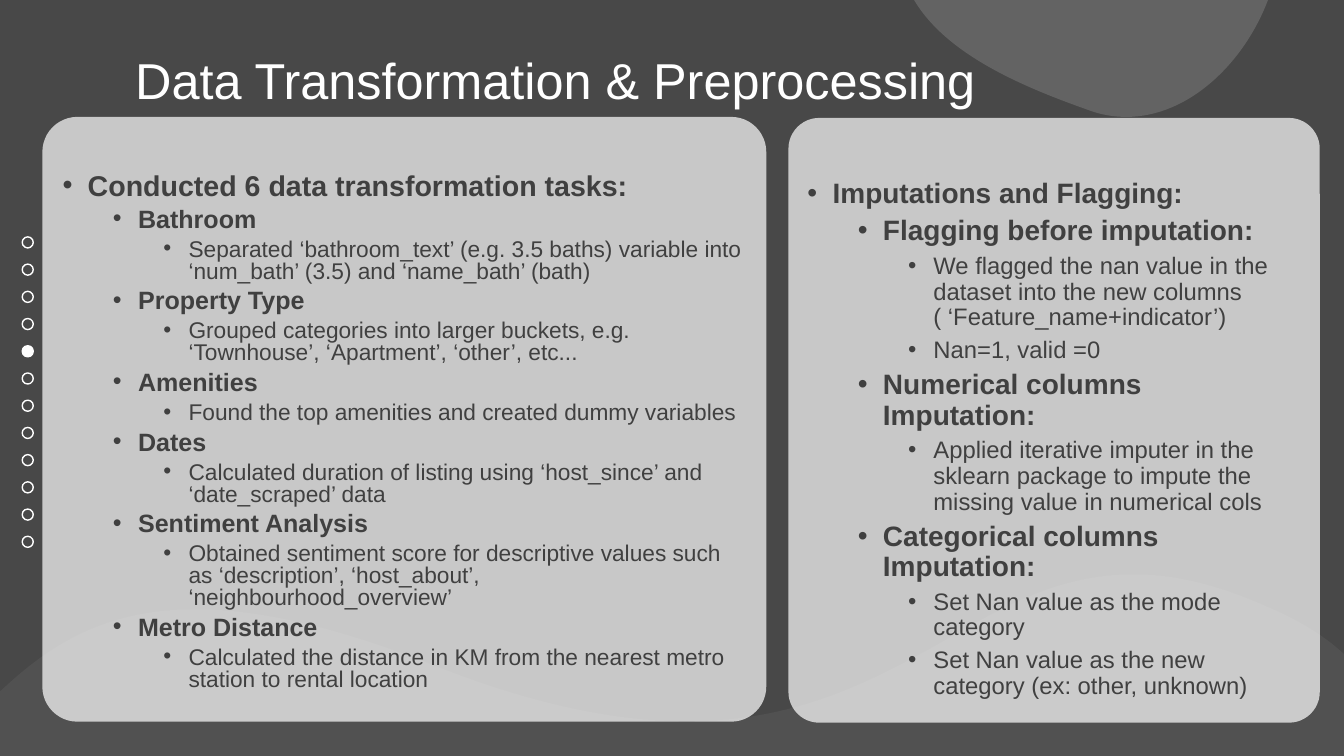
from math import cos, radians, sin

from lxml.etree import SubElement
from pptx import Presentation
from pptx.dml.color import RGBColor
from pptx.enum.shapes import MSO_SHAPE
from pptx.enum.text import MSO_ANCHOR, PP_ALIGN
from pptx.oxml.ns import qn
from pptx.util import Inches, Pt

WIDTH, HEIGHT = 13.33, 7.5
INDENT = 0.25
LEVEL_STEP = 0.5


def paint(fill, color, opacity=100):
    fill.solid()
    fill.fore_color.rgb = RGBColor.from_string(color)
    if opacity < 100:
        for color_node in fill._xPr.iter(qn("a:srgbClr")):
            SubElement(color_node, qn("a:alpha"), val=str(opacity * 1000))


def unrotate(point, center, rotation):
    angle = radians(-rotation)
    x, y = point[0] - center[0], point[1] - center[1]
    return (center[0] + x * cos(angle) - y * sin(angle),
            center[1] + x * sin(angle) + y * cos(angle))


presentation = Presentation()
presentation.slide_width = Inches(WIDTH)
presentation.slide_height = Inches(HEIGHT)
slide = presentation.slides.add_slide(presentation.slide_layouts[5])
paint(slide.background.fill, "484848")

wave = [
    [(11.33, 5.7)],
    [(11.69, 5.71), (12.1, 5.81), (12.57, 6.02)],
    [(12.88, 6.15), (13.12, 6.3), (13.31, 6.47)],
    [(WIDTH, 6.49)],
    [(WIDTH, HEIGHT)],
    [(0, HEIGHT)],
    [(0, 6.86)],
    [(0.1, 6.77)],
    [(0.93, 6.02), (1.97, 5.68), (4.3, 6.6)],
    [(6.95, 7.65), (8.2, 7), (9.29, 6.4)],
    [(9.93, 6.03), (10.53, 5.67), (11.33, 5.7)],
]
blob = [
    [(12.58, -0.01)],
    [(9.06, -0.01)],
    [(9.38, 0.54), (10.14, 0.86), (10.79, 1.09)],
    [(10.92, 1.14), (11.05, 1.16), (11.17, 1.16)],
    [(11.8, 1.16), (12.35, 0.61), (12.58, -0.01)],
]
backdrops = [
    (wave, 0.02, 5.1, 13.28, 3.67, 348.9, 5),
    (blob, 9.06, -0.01, 3.52, 1.17, 0, 15),
]
for segments, left, top, width, height, rotation, opacity in backdrops:
    right, bottom = left + width, top + height
    center = (left + width / 2, top + height / 2)
    builder = slide.shapes.build_freeform(Inches(left), Inches(top), scale=1.0)
    builder.add_line_segments([
        (Inches(x), Inches(y)) for x, y in ((right, top), (right, bottom), (left, bottom))])
    shape = builder.convert_to_shape()
    outline = next(shape._element.iter(qn("a:path")))
    for command in list(outline):
        outline.remove(command)
    for index, segment in enumerate(segments):
        tag = "a:moveTo" if index == 0 else "a:lnTo" if len(segment) == 1 else "a:cubicBezTo"
        command = SubElement(outline, qn(tag))
        for point in segment:
            x, y = unrotate(point, center, rotation)
            SubElement(command, qn("a:pt"), x=str(Inches(x - left)), y=str(Inches(y - top)))
    SubElement(outline, qn("a:close"))
    shape.rotation = rotation
    shape.shadow.inherit = False
    shape.line.fill.background()
    paint(shape.fill, "FFFFFF", opacity)

title = slide.shapes.title
title.left, title.top = 0, Inches(0.5)
title.width, title.height = Inches(WIDTH), Inches(0.66)
title.text_frame.text = "Data Transformation & Preprocessing"
title.text_frame.vertical_anchor = MSO_ANCHOR.MIDDLE
title.text_frame.margin_left = Inches(1.34)
paragraph = title.text_frame.paragraphs[0]
paragraph.alignment = PP_ALIGN.LEFT
paragraph.line_spacing = 0.9
paragraph.font.name = "Arial"
paragraph.font.size = Pt(36)
paint(paragraph.font.fill, "FFFFFF")

transformation_tasks = [
    (0, "Conducted 6 data transformation tasks:"),
    (1, "Bathroom"),
    (2, "Separated ‘bathroom_text’ (e.g. 3.5 baths) variable into ‘num_bath’ (3.5) and ‘name_bath’ (bath)"),
    (1, "Property Type"),
    (2, "Grouped categories into larger buckets, e.g. ‘Townhouse’, ‘Apartment’, ‘other’, etc..."),
    (1, "Amenities"),
    (2, "Found the top amenities and created dummy variables"),
    (1, "Dates"),
    (2, "Calculated duration of listing using ‘host_since’ and ‘date_scraped’ data"),
    (1, "Sentiment Analysis"),
    (2, "Obtained sentiment score for descriptive values such as ‘description’, ‘host_about’, "
        "‘neighbourhood_overview’"),
    (1, "Metro Distance"),
    (2, "Calculated the distance in KM from the nearest metro station to rental location"),
]
imputation_steps = [
    (0, "Imputations and Flagging:"),
    (1, "Flagging before imputation:"),
    (2, "We flagged the nan value in the dataset into the new columns ( ‘Feature_name+indicator’)"),
    (2, "Nan=1, valid =0"),
    (1, "Numerical columns Imputation:"),
    (2, "Applied iterative imputer in the sklearn package to impute the missing value in numerical cols"),
    (1, "Categorical columns Imputation:"),
    (2, "Set Nan value as the mode category"),
    (2, "Set Nan value as the new category (ex: other, unknown)"),
]
cards = [
    (0.42, 1.16, 7.18, 0.47, 0.8, (20.4, 17.9, 16.2), transformation_tasks),
    (7.82, 1.17, 5.27, 0.52, 0.9, (20, 20, 17), imputation_steps),
]
for left, top, width, top_margin, line_spacing, sizes, items in cards:
    card = slide.shapes.add_shape(
        MSO_SHAPE.ROUNDED_RECTANGLE, Inches(left), Inches(top), Inches(width), Inches(6))
    card.adjustments[0] = 0.058
    card.shadow.inherit = False
    card.line.fill.background()
    paint(card.fill, "FFFFFF", 70)
    frame = card.text_frame
    frame.word_wrap = True
    frame.vertical_anchor = MSO_ANCHOR.TOP
    frame.margin_top = Inches(top_margin)
    for index, (level, text) in enumerate(items):
        paragraph = frame.add_paragraph() if index else frame.paragraphs[0]
        paragraph.text = text
        paragraph.level = level
        paragraph.alignment = PP_ALIGN.LEFT
        paragraph.line_spacing = line_spacing
        paragraph.space_before = Pt(5 if index else 0)
        properties = paragraph._p.get_or_add_pPr()
        properties.set("marL", str(Inches(INDENT + LEVEL_STEP * level)))
        properties.set("indent", str(-Inches(INDENT)))
        SubElement(properties, qn("a:buFont"), typeface="Arial")
        SubElement(properties, qn("a:buChar"), char="•")
        paragraph.font.name = "Arial"
        paragraph.font.size = Pt(sizes[level])
        paragraph.font.bold = level < 2
        paint(paragraph.font.fill, "404040")

progress_dots = slide.shapes.add_group_shape()
for position in range(12):
    dot = progress_dots.shapes.add_shape(
        MSO_SHAPE.OVAL, Inches(0.22), Inches(2.35 + 0.27 * position), Inches(0.11), Inches(0.11))
    dot.shadow.inherit = False
    dot.line.width = Pt(1)
    paint(dot.line.fill, "FFFFFF")
    if position == 4:
        paint(dot.fill, "FFFFFF")
    else:
        dot.fill.background()

presentation.save("out.pptx")
